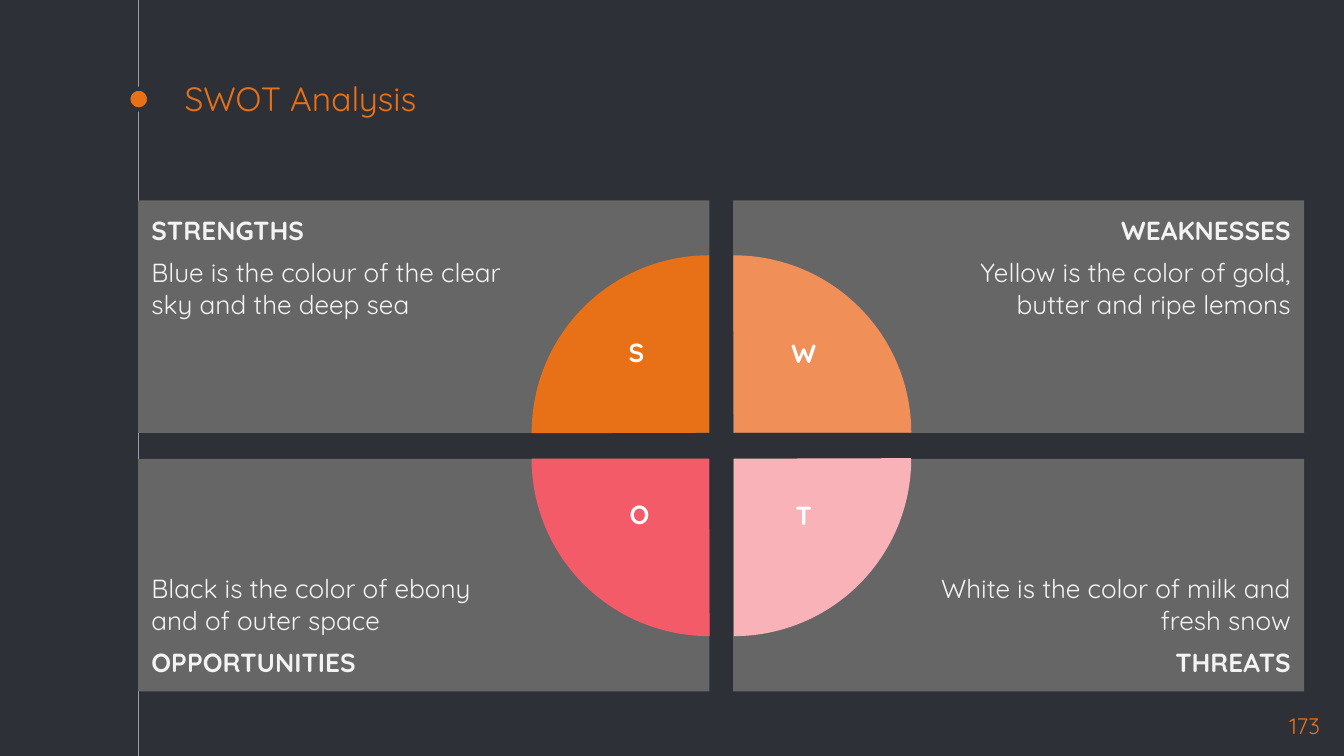
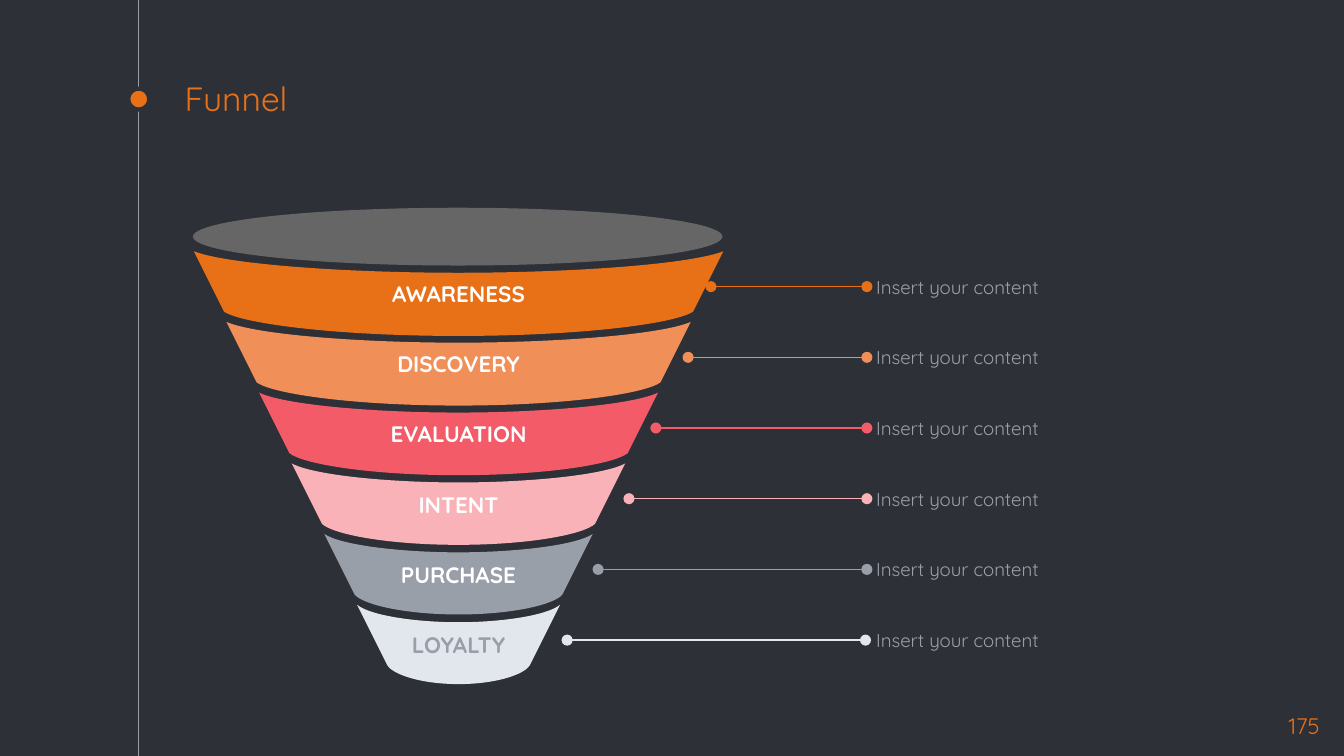
from dataclasses import dataclass
from typing import NamedTuple

from lxml.etree import SubElement
from pptx import Presentation
from pptx.dml.color import RGBColor
from pptx.enum.shapes import MSO_CONNECTOR, MSO_SHAPE
from pptx.enum.text import MSO_ANCHOR, PP_ALIGN
from pptx.oxml.ns import qn
from pptx.util import Inches, Pt

# Colours and font
DARK = RGBColor(0x2E, 0x30, 0x37)
ORANGE = RGBColor(0xE8, 0x71, 0x18)
APRICOT = RGBColor(0xF1, 0x8F, 0x59)
CORAL = RGBColor(0xF3, 0x5B, 0x69)
PINK = RGBColor(0xFA, 0xB2, 0xB9)
STEEL = RGBColor(0x99, 0x9F, 0xA9)
MIST = RGBColor(0xE2, 0xE7, 0xEE)
PANEL = RGBColor(0x66, 0x66, 0x66)
PALE = RGBColor(0xF3, 0xF3, 0xF3)
WHITE = RGBColor(0xFF, 0xFF, 0xFF)
FONT = "Quicksand"

# Grid of square cells
CELL = Inches(0.1)
COLUMNS, ROWS = 100, 56.25
RAIL = 10.33


def cells(count: float) -> int:
    return round(count * CELL)


class Box(NamedTuple):
    left: float
    top: float
    width: float
    height: float

    def lengths(self) -> list[int]:
        return [cells(value) for value in self]


class Insets(NamedTuple):
    left: float = 1
    top: float = 1
    right: float = 1
    bottom: float = 1


@dataclass(frozen=True)
class Style:
    size: float
    color: RGBColor
    bold: bool = False
    align: PP_ALIGN = PP_ALIGN.LEFT
    anchor: MSO_ANCHOR = MSO_ANCHOR.TOP
    insets: Insets = Insets()


@dataclass(frozen=True)
class Quadrant:
    heading: str
    body: str
    letter: str
    letter_box: Box
    color: RGBColor
    right: bool
    lower: bool
    rotation: int


@dataclass(frozen=True)
class Stage:
    name: str
    color: RGBColor
    lead_start: float
    lead_end: float = 64.5
    text_color: RGBColor = WHITE


TITLE = Style(18, ORANGE, anchor=MSO_ANCHOR.BOTTOM)
NUMBER = Style(12, ORANGE, align=PP_ALIGN.RIGHT)
LETTER = Style(14, WHITE, True, PP_ALIGN.CENTER, insets=Insets(1, 0.5, 1, 0.5))
CAPTION = Style(10, STEEL, anchor=MSO_ANCHOR.MIDDLE, insets=Insets(0, 0, 0, 0))

QUADRANTS = [
    Quadrant("STRENGTHS", "Blue is the colour of the clear sky and the deep sea",
             "S", Box(45.6, 24.5, 3.5, 4.9), ORANGE, False, False, 0),
    Quadrant("WEAKNESSES", "Yellow is the color of gold, butter and ripe lemons",
             "W", Box(56.7, 24.6, 6.2, 4.7), APRICOT, True, False, 90),
    Quadrant("THREATS", "White is the color of milk and fresh snow",
             "T", Box(57.9, 36.7, 3.8, 4.7), PINK, True, True, 180),
    Quadrant("OPPORTUNITIES", "Black is the color of ebony and of outer space",
             "O", Box(45.3, 36.6, 4.6, 4.9), CORAL, False, True, 270),
]

STAGES = [
    Stage("AWARENESS", ORANGE, 52.9),
    Stage("DISCOVERY", APRICOT, 51.2),
    Stage("EVALUATION", CORAL, 48.8),
    Stage("INTENT", PINK, 46.8),
    Stage("PURCHASE", STEEL, 44.5),
    Stage("LOYALTY", MIST, 42.2, 64.4, STEEL),
]


# Drawing helpers
def write(shape, style: Style, *lines: str) -> None:
    frame = shape.text_frame
    frame.word_wrap = True
    frame.vertical_anchor = style.anchor
    (frame.margin_left, frame.margin_top,
     frame.margin_right, frame.margin_bottom) = map(cells, style.insets)
    frame.text = "\n".join(lines)
    for para in frame.paragraphs:
        para.alignment = style.align
        for span in para.runs:
            span.font.name = FONT
            span.font.size = Pt(style.size)
            span.font.bold = style.bold
            span.font.color.rgb = style.color


def add_text(page, box: Box, style: Style, text: str) -> None:
    write(page.shapes.add_textbox(*box.lengths()), style, text)


def paint(shape, color: RGBColor) -> None:
    shape.shadow.inherit = False
    shape.fill.solid()
    shape.fill.fore_color.rgb = color
    shape.line.fill.background()


def add_filled(page, kind: MSO_SHAPE, box: Box, color: RGBColor):
    shape = page.shapes.add_shape(kind, *box.lengths())
    paint(shape, color)
    return shape


def add_line(page, start: tuple[float, float], end: tuple[float, float],
             color: RGBColor, dots: bool = False) -> None:
    line = page.shapes.add_connector(
        MSO_CONNECTOR.STRAIGHT, *map(cells, start + end))
    line.line.color.rgb = color
    line.line.width = Pt(0.75)
    properties = line._element.spPr
    if dots:
        outline = properties.find(qn("a:ln"))
        for tag in ("a:headEnd", "a:tailEnd"):
            SubElement(outline, qn(tag), type="oval")
    SubElement(properties, qn("a:effectLst"))


def add_page(deck, title: str, number: int):
    page = deck.slides.add_slide(deck.slide_layouts[6])
    page.background.fill.solid()
    page.background.fill.fore_color.rgb = DARK
    add_line(page, (RAIL, 0), (RAIL, ROWS), STEEL)
    dot = add_filled(page, MSO_SHAPE.OVAL, Box(9.55, 6.6, 1.55, 1.55), ORANGE)
    dot.line.color.rgb = DARK
    dot.line.width = Pt(2.25)
    add_text(page, Box(12.75, 6, 75, 3.8), TITLE, title)
    add_text(page, Box(93.2, 52, 6, 3.4), NUMBER, str(number))
    return page


# SWOT panels and the quarter discs between them
def add_panel(page, item: Quadrant) -> None:
    box = Box(10.28 + 44.26 * item.right, 14.92 + 19.23 * item.lower, 42.5, 17.3)
    panel = add_filled(page, MSO_SHAPE.RECTANGLE, box, PANEL)
    style = Style(
        14, PALE,
        align=PP_ALIGN.RIGHT if item.right else PP_ALIGN.LEFT,
        anchor=MSO_ANCHOR.BOTTOM if item.lower else MSO_ANCHOR.TOP,
        insets=Insets(left=15) if item.right else Insets(right=15))
    lines = [item.heading, item.body]
    write(panel, style, *(reversed(lines) if item.lower else lines))
    paras = panel.text_frame.paragraphs
    paras[1 if item.lower else 0].runs[0].font.bold = True
    paras[1].space_before = paras[1].space_after = Pt(6)


def add_quarter(page, item: Quadrant) -> None:
    box = Box(39.56 + 1.84 * item.right, 19 + 1.93 * item.lower, 26.4, 26.4)
    pie = add_filled(page, MSO_SHAPE.PIE, box, item.color)
    pie.adjustments[0], pie.adjustments[1] = 107.89, 162
    pie.rotation = item.rotation


def build_swot(deck) -> None:
    page = add_page(deck, "SWOT Analysis", 173)
    for item in QUADRANTS:
        add_panel(page, item)
    for item in QUADRANTS:
        add_quarter(page, item)
    for item in QUADRANTS:
        add_text(page, item.letter_box, LETTER, item.letter)


# Funnel bands, each narrower than the one above
AXIS = 34.12


def arc(half: float, top: float, sag: float, outer: float, inner: float,
        lift: float) -> list[tuple[float, float]]:
    """Points of two mirrored cubic curves, from left to right."""
    low = top + sag
    left = [(-half, top), (-half * outer, top + sag * lift), (-half * inner, low)]
    right = [(-x, y) for x, y in reversed(left)]
    return [(AXIS + x, y) for x, y in left + [(0, low)] + right]


def bend(band, starts: tuple[int, ...]) -> None:
    """Turn each three straight segments from a start into one cubic curve."""
    segments = list(band._element.iter(qn("a:lnTo")))
    for start in starts:
        group = segments[start:start + 3]
        curve = group[0].makeelement(qn("a:cubicBezTo"))
        group[0].addprevious(curve)
        for segment in group:
            curve.append(segment[0])
            segment.getparent().remove(segment)


def add_band(page, stage: Stage, index: int) -> None:
    top, half = 18.7 + 5.26 * index, 19.7 - 2.43 * index
    upper = arc(half, top, 1.6 - 0.06 * index, 0.87, 0.42, 0.62)
    lower = arc(half - 2.25, top + 4.5, 1.8 - 0.08 * index, 0.92, 0.52, 0.5)
    points = [(cells(x), cells(y)) for x, y in upper[:1] + lower + upper[::-1]]
    builder = page.shapes.build_freeform(*points[0])
    builder.add_line_segments(points[1:], close=True)
    band = builder.convert_to_shape()
    bend(band, (1, 4, 8, 11))
    paint(band, stage.color)
    write(band, Style(12, stage.text_color, True, PP_ALIGN.CENTER,
                      MSO_ANCHOR.MIDDLE, Insets(0.7, 0.4, 0.7, 0.4)), stage.name)


def build_funnel(deck) -> None:
    page = add_page(deck, "Funnel", 175)
    for index, stage in enumerate(STAGES):
        add_band(page, stage, index)
    add_filled(page, MSO_SHAPE.OVAL, Box(14.36, 15.46, 39.4, 4.3), PANEL)
    for index, stage in enumerate(STAGES):
        level = 21.33 + 5.26 * index
        add_line(page, (stage.lead_start, level), (stage.lead_end, level),
                 stage.color, dots=True)
        add_text(page, Box(65.2, level - 1.9, 15.3, 3.8), CAPTION,
                 "Insert your content")


def main() -> None:
    deck = Presentation()
    deck.slide_width, deck.slide_height = cells(COLUMNS), cells(ROWS)
    build_swot(deck)
    build_funnel(deck)
    deck.save("out.pptx")


if __name__ == "__main__":
    main()
